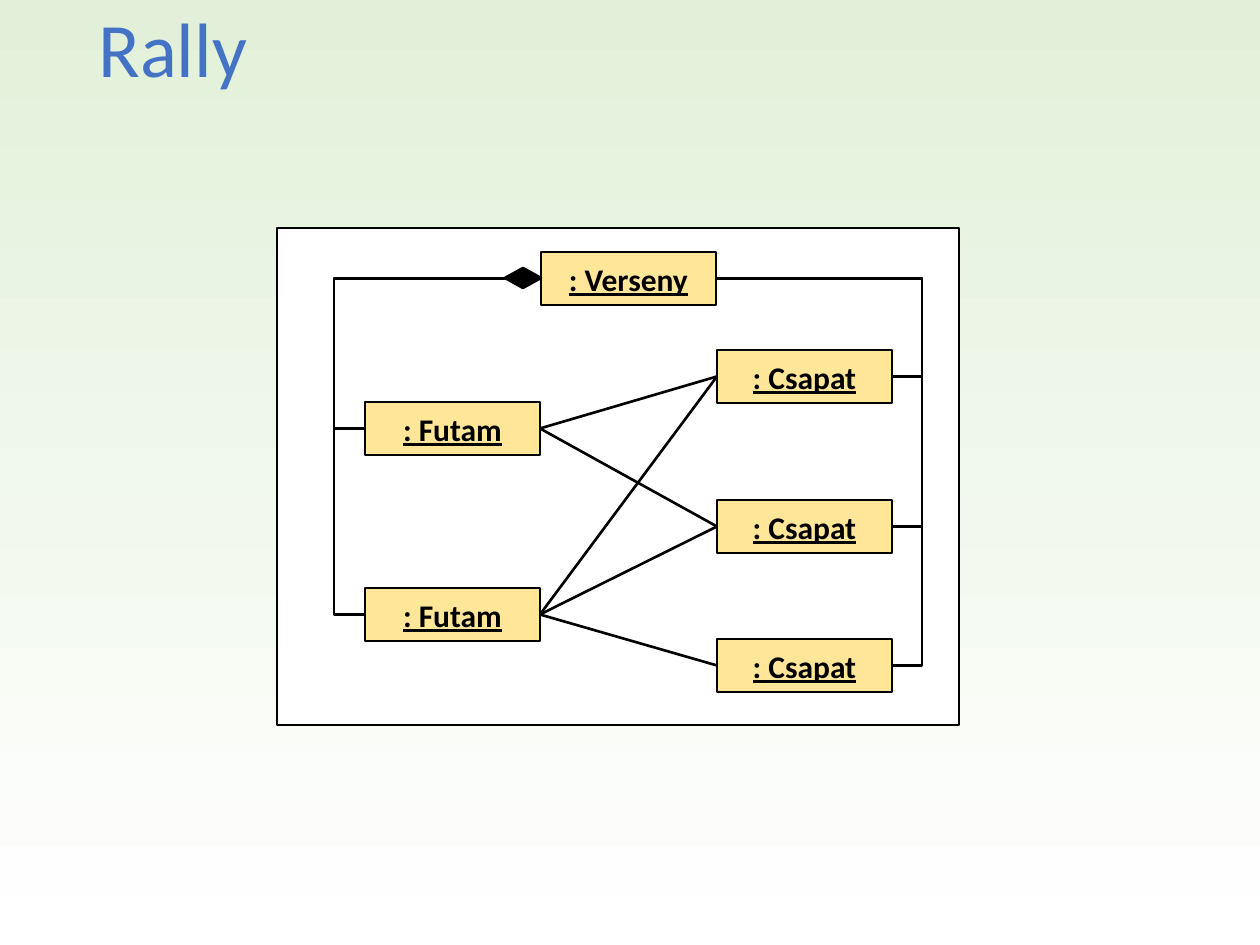
from lxml import etree
from pptx import Presentation
from pptx.dml.color import RGBColor
from pptx.enum.shapes import MSO_CONNECTOR, MSO_SHAPE
from pptx.enum.text import MSO_ANCHOR, PP_ALIGN
from pptx.oxml.ns import qn
from pptx.util import Emu, Pt

RECTANGLE, DIAMOND = MSO_SHAPE.RECTANGLE, MSO_SHAPE.DIAMOND
STRAIGHT, ELBOW = MSO_CONNECTOR.STRAIGHT, MSO_CONNECTOR.ELBOW
TOP, MIDDLE, CENTER = MSO_ANCHOR.TOP, MSO_ANCHOR.MIDDLE, PP_ALIGN.CENTER
LEFT_SITE, RIGHT_SITE = 1, 3

EMU_PER_PX = 914400 // 126
FONT = "Calibri"
BLACK, WHITE, YELLOW = "000000", "FFFFFF", "FFE699"
BLUE, PALE_GREEN = "4472C4", "E2F0D9"

TITLE = "Rally"
TITLE_BOX = (86, 5, 1086, 183)
FRAME_BOX = (277, 228, 682, 497)
OBJECT_WIDTH, OBJECT_HEIGHT = 175, 53
BEND = 31  # how far the elbow lines run past the objects
DIAMOND_WIDTH, DIAMOND_HEIGHT = 36, 20

# name: label, left, top
OBJECTS = {
    "race": (": Verseny", 541, 252),
    "heat 1": (": Futam", 365, 402),
    "heat 2": (": Futam", 365, 588),
    "team 1": (": Csapat", 717, 350),
    "team 2": (": Csapat", 717, 500),
    "team 3": (": Csapat", 717, 639),
}
HEATS = ["heat 1", "heat 2"]
TEAMS = ["team 1", "team 2", "team 3"]
ENTRIES = [
    ("team 1", "heat 1"), ("team 2", "heat 1"),
    ("team 1", "heat 2"), ("team 2", "heat 2"), ("team 3", "heat 2"),
]


def px(length):
    return Emu(length * EMU_PER_PX)


def color(value):
    return RGBColor.from_string(value)


def add_box(slide, kind, box, fill, line_width):
    shape = slide.shapes.add_shape(kind, *map(px, box))
    shape.shadow.inherit = False
    shape.fill.solid()
    shape.fill.fore_color.rgb = color(fill)
    shape.line.color.rgb = color(BLACK)
    shape.line.width = Pt(line_width)
    return shape


def add_object(slide, label, left, top):
    box = (left, top, OBJECT_WIDTH, OBJECT_HEIGHT)
    shape = add_box(slide, RECTANGLE, box, YELLOW, 1.5)
    frame = shape.text_frame
    frame.vertical_anchor = MIDDLE
    paragraph = frame.paragraphs[0]
    paragraph.text = label
    paragraph.alignment = CENTER
    font = paragraph.font
    font.name, font.size = FONT, Pt(18)
    font.bold = font.underline = True
    font.color.rgb = color(BLACK)
    return shape


def connect(slide, kind, start, start_site, end, end_site):
    connector = slide.shapes.add_connector(kind, 0, 0, 0, 0)
    connector.begin_connect(start, start_site)
    connector.end_connect(end, end_site)
    connector.line.color.rgb = color(BLACK)
    connector.line.width = Pt(1.5)
    properties = connector._element.spPr
    etree.SubElement(properties, qn("a:effectLst"))
    return connector


def set_bend(connector, offset):
    """Place the elbow at a px offset from the connector's left edge."""
    values = connector._element.spPr.prstGeom.get_or_add_avLst()
    share = round(px(offset) / connector.width * 100000)
    etree.SubElement(values, qn("a:gd"), name="adj1", fmla=f"val {share}")


def add_title(slide):
    frame = slide.shapes.add_textbox(*map(px, TITLE_BOX)).text_frame
    frame.word_wrap = True
    frame.vertical_anchor = TOP
    paragraph = frame.paragraphs[0]
    paragraph.text = TITLE
    paragraph.line_spacing = 0.9
    paragraph.font.name, paragraph.font.size = FONT, Pt(44)
    paragraph.font.color.rgb = color(BLUE)


def set_background(slide):
    fill = slide.background.fill
    fill.gradient()
    fill.gradient_angle = 90
    for stop, position, value in zip(fill.gradient_stops, (0, 1), (WHITE, PALE_GREEN)):
        stop.position = position
        stop.color.rgb = color(value)


def main():
    presentation = Presentation()
    presentation.slide_width, presentation.slide_height = px(1260), px(945)
    slide = presentation.slides.add_slide(presentation.slide_layouts[6])
    set_background(slide)
    add_title(slide)
    add_box(slide, RECTANGLE, FRAME_BOX, WHITE, 1)

    objects = {name: add_object(slide, *item) for name, item in OBJECTS.items()}
    race = objects["race"]
    for team, heat in ENTRIES:
        connect(slide, STRAIGHT, objects[team], LEFT_SITE, objects[heat], RIGHT_SITE)
    for team in TEAMS:
        connector = connect(slide, ELBOW, race, RIGHT_SITE, objects[team], RIGHT_SITE)
        set_bend(connector, OBJECT_WIDTH + BEND)
    for heat in HEATS:
        connector = connect(slide, ELBOW, objects[heat], LEFT_SITE, race, LEFT_SITE)
        set_bend(connector, -BEND)

    _, race_left, race_top = OBJECTS["race"]
    diamond_top = race_top + (OBJECT_HEIGHT - DIAMOND_HEIGHT) // 2
    diamond_box = (race_left - DIAMOND_WIDTH, diamond_top, DIAMOND_WIDTH, DIAMOND_HEIGHT)
    add_box(slide, DIAMOND, diamond_box, BLACK, 1.5)

    presentation.save("out.pptx")


if __name__ == "__main__":
    main()
